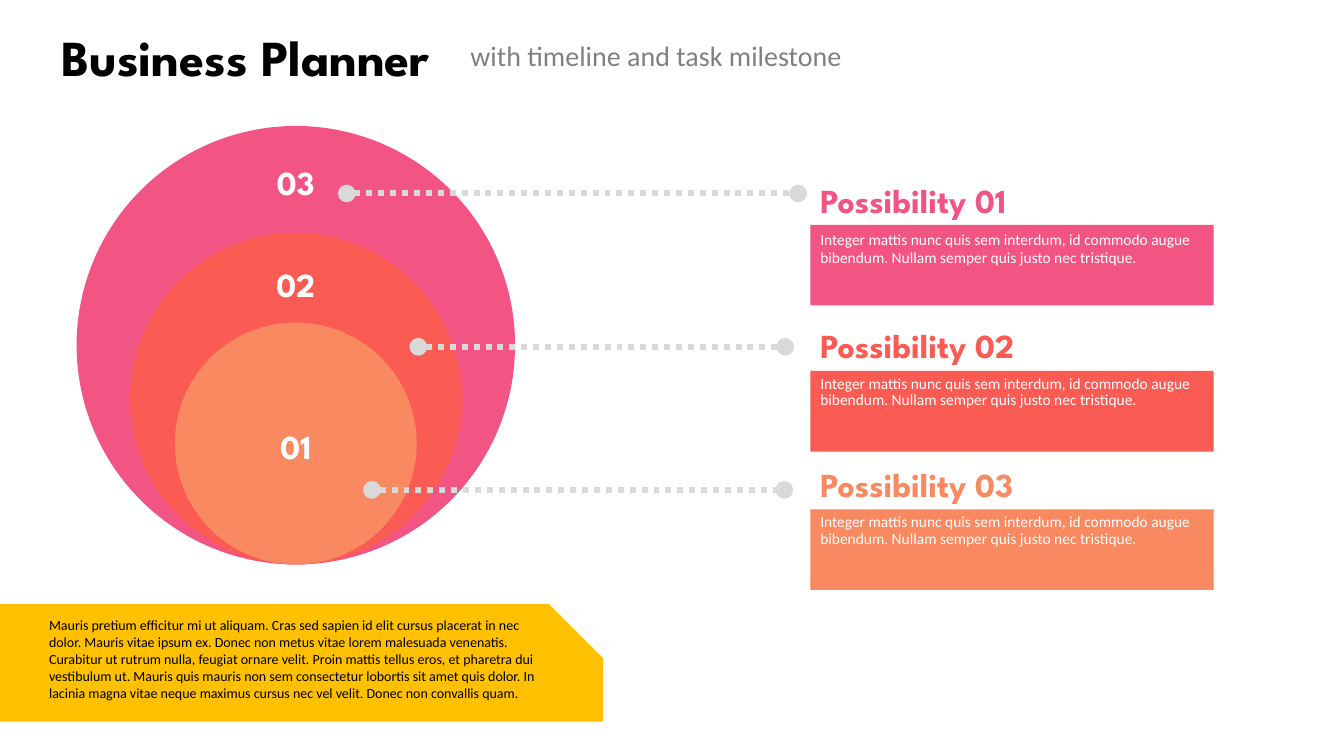
from lxml.etree import SubElement
from pptx import Presentation
from pptx.dml.color import RGBColor
from pptx.enum.dml import MSO_LINE
from pptx.enum.shapes import MSO_CONNECTOR, MSO_SHAPE
from pptx.enum.text import MSO_ANCHOR, PP_ALIGN
from pptx.oxml.ns import qn
from pptx.util import Pt

HEADING_FONT = "League Spartan"
BODY_FONT = "Calibri"
PINK, RED, ORANGE = "F25484", "FA5B52", "F88960"
WHITE, BLACK, GREY = "FFFFFF", "000000", "808080"

presentation = Presentation()
presentation.slide_width = Pt(960)
presentation.slide_height = Pt(540)
slide = presentation.slides.add_slide(presentation.slide_layouts[6])
shapes = slide.shapes


def add_filled(kind, left, top, width, height, color):
    shape = shapes.add_shape(kind, Pt(left), Pt(top), Pt(width), Pt(height))
    shape.shadow.inherit = False
    shape.fill.solid()
    shape.fill.fore_color.rgb = RGBColor.from_string(color)
    shape.line.fill.background()
    return shape


def write(shape, text, font, size, color, align=PP_ALIGN.LEFT,
          anchor=MSO_ANCHOR.TOP, spacing=1.0):
    """Fill a shape with one paragraph; League Spartan text is bold."""
    frame = shape.text_frame
    frame.word_wrap = True
    frame.vertical_anchor = anchor
    paragraph = frame.paragraphs[0]
    paragraph.text = text
    paragraph.alignment = align
    paragraph.line_spacing = spacing
    paragraph.font.name = font
    paragraph.font.size = Pt(size)
    paragraph.font.bold = font == HEADING_FONT
    paragraph.font.color.rgb = RGBColor.from_string(color)


# Header
title = shapes.add_textbox(Pt(23), Pt(18.7), Pt(305.3), Pt(43.2))
write(title, "Business Planner", HEADING_FONT, 36, BLACK,
      PP_ALIGN.CENTER, MSO_ANCHOR.MIDDLE)
subtitle = shapes.add_textbox(Pt(329), Pt(23.8), Pt(338.4), Pt(31.7))
write(subtitle, "with timeline and task milestone", BODY_FONT, 20, GREY,
      anchor=MSO_ANCHOR.MIDDLE)

# Nested circles resting on a common bottom point
CENTER, BOTTOM = 211.3, 403.2
for diameter, color in [(313.2, PINK), (236.9, RED), (172.8, ORANGE)]:
    add_filled(MSO_SHAPE.OVAL, CENTER - diameter / 2, BOTTOM - diameter,
               diameter, diameter, color)

# Dotted leaders
for start, end, y in [(247.7, 570.2, 138.2), (298.8, 560.9, 247.7),
                      (265.7, 560.2, 349.9)]:
    leader = shapes.add_connector(MSO_CONNECTOR.STRAIGHT,
                                  Pt(start), Pt(y), Pt(end), Pt(y))
    leader.line.color.rgb = RGBColor.from_string("D9D9D9")
    leader.line.width = Pt(4.25)
    leader.line.dash_style = MSO_LINE.ROUND_DOT
    outline = leader.line._get_or_add_ln()
    for end_tag in ("a:headEnd", "a:tailEnd"):
        SubElement(outline, qn(end_tag), type="oval")
    SubElement(leader._element.spPr, qn("a:effectLst"))

# Circle numbers
for number, top in [("01", 301), ("02", 185), ("03", 112.3)]:
    label = shapes.add_textbox(Pt(CENTER - 44.3), Pt(top), Pt(88.6), Pt(36))
    write(label, number, HEADING_FONT, 24, WHITE, PP_ALIGN.CENTER)

# Possibilities
DESCRIPTION = ("Integer mattis nunc quis sem interdum, id commodo augue "
               "bibendum. Nullam semper quis justo nec tristique.")
possibilities = [
    ("Possibility 01", PINK, 127.4, 160.6, MSO_ANCHOR.MIDDLE, 1.0),
    ("Possibility 02", RED, 231.8, 265, MSO_ANCHOR.TOP, 0.9),
    ("Possibility 03", ORANGE, 331.2, 363.8, MSO_ANCHOR.TOP, 0.9),
]
for name, color, heading_top, panel_top, anchor, spacing in possibilities:
    heading = shapes.add_textbox(Pt(578.9), Pt(heading_top), Pt(192.2), Pt(31.7))
    write(heading, name, HEADING_FONT, 24, color, anchor=anchor, spacing=spacing)
    panel = add_filled(MSO_SHAPE.RECTANGLE, 578.9, panel_top, 288, 57.6, color)
    write(panel, DESCRIPTION, BODY_FONT, 11, WHITE, spacing=spacing)

# Footer banner
banner = add_filled(MSO_SHAPE.SNIP_ROUND_RECTANGLE, 0, 431.3, 430.6, 84.2, "FFC000")
banner.adjustments[0] = 0
banner.adjustments[1] = 0.46
summary = shapes.add_textbox(Pt(28), Pt(437), Pt(367.2), Pt(43.9))
write(summary,
      "Mauris pretium efficitur mi ut aliquam. Cras sed sapien id elit cursus "
      "placerat in nec dolor. Mauris vitae ipsum ex. Donec non metus vitae lorem "
      "malesuada venenatis. Curabitur ut rutrum nulla, feugiat ornare velit. Proin "
      "mattis tellus eros, et pharetra dui vestibulum ut. Mauris quis mauris non sem "
      "consectetur lobortis sit amet quis dolor. In lacinia magna vitae neque maximus "
      "cursus nec vel velit. Donec non convallis quam.",
      BODY_FONT, 10, BLACK)

presentation.save("out.pptx")
